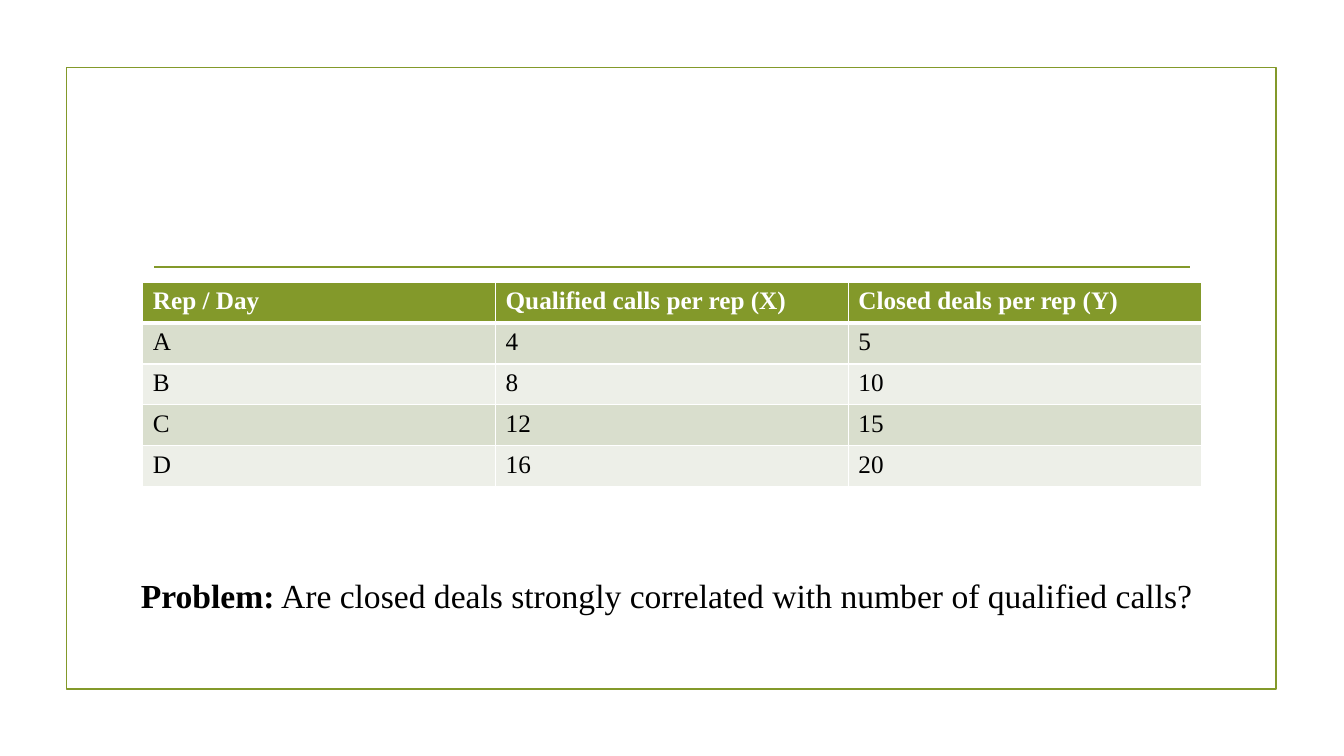
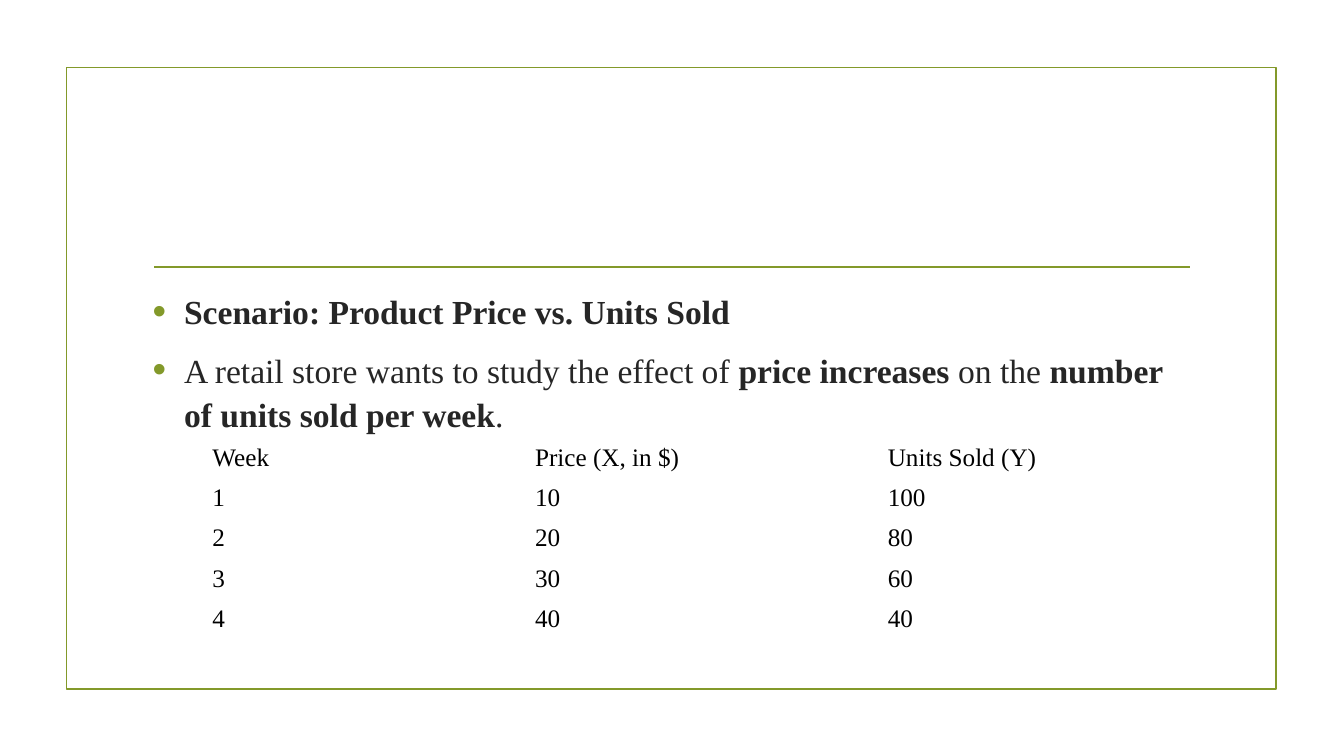
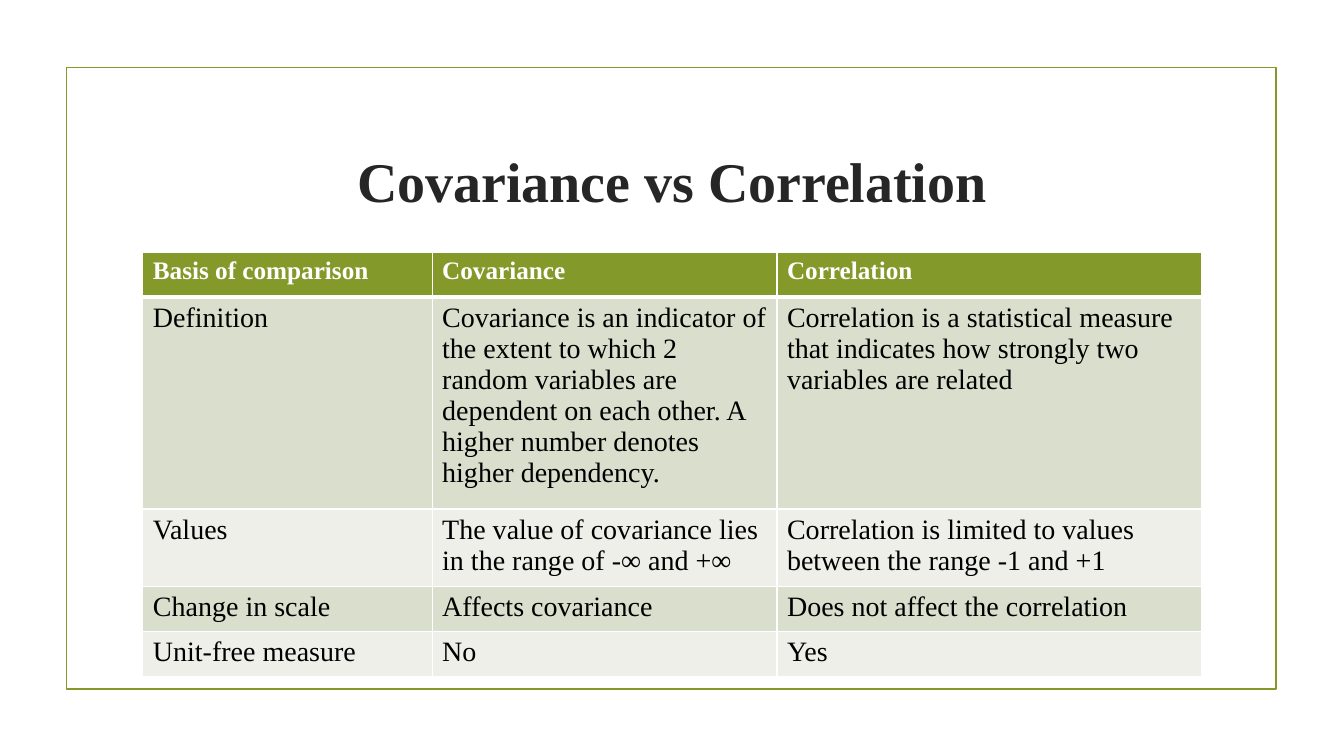
"""Build three slides on covariance and correlation."""
from lxml.etree import SubElement
from pptx import Presentation as Deck
from pptx.dml.color import RGBColor as Color
from pptx.enum.shapes import MSO_CONNECTOR as Link, MSO_SHAPE as Shape
from pptx.enum.text import MSO_ANCHOR as Anchor, PP_ALIGN as Align
from pptx.oxml import parse_xml as parse
from pptx.oxml.ns import nsdecls, qn
from pptx.util import Cm, Pt

HUES = {
    "green": "83992A",
    "dark": "262626",
    "black": "000000",
    "white": "FFFFFF",
    "sage": "D9DECD",
    "mist": "EDEFE8",
}
FONT = "Times New Roman"
LEFT, WIDE = 3.6, 26.67

CALLS = [
    ("Rep / Day", "Qualified calls per rep (X)", "Closed deals per rep (Y)"),
    ("A", "4", "5"),
    ("B", "8", "10"),
    ("C", "12", "15"),
    ("D", "16", "20"),
]
SALES = [
    ("Week", "Price (X, in $)", "Units Sold (Y)"),
    ("1", "10", "100"),
    ("2", "20", "80"),
    ("3", "30", "60"),
    ("4", "40", "40"),
]
TRAITS = [
    ("Basis of comparison", "Covariance", "Correlation"),
    ("Definition",
     "Covariance is an indicator of the extent to which 2 random variables "
     "are dependent on each other. A higher number denotes higher dependency.",
     "Correlation is a statistical measure that indicates how strongly two "
     "variables are related"),
    ("Values", "The value of covariance lies in the range of -∞ and +∞",
     "Correlation is limited to values between the range -1 and +1"),
    ("Change in scale", "Affects covariance", "Does not affect the correlation"),
    ("Unit-free measure", "No", "Yes"),
]


def hue(name):
    """Return the named colour."""
    return Color.from_string(HUES[name])


def bullet(para):
    """Give a paragraph a green hanging bullet."""
    props = para._p.get_or_add_pPr()
    props.set("marL", str(Cm(0.79)))
    props.set("indent", str(-Cm(0.79)))
    tint = SubElement(props, qn("a:buClr"))
    SubElement(tint, qn("a:srgbClr"), val=HUES["green"])
    SubElement(props, qn("a:buSzPct"), val="115000")
    SubElement(props, qn("a:buFont"), typeface="Arial")
    SubElement(props, qn("a:buChar"), char="•")


def write(frame, text, size=18, tone="black", bold=False, align=Align.LEFT,
          lead=None, dots=False):
    """Fill a frame with lines of text, where *stars* mark bold words."""
    for row, line in enumerate(text.split("\n")):
        para = frame.add_paragraph() if row else frame.paragraphs[0]
        para.alignment = align
        para.line_spacing = lead
        if dots:
            para.space_before = Pt(4 if row else 0)
            para.space_after = Pt(6)
            bullet(para)
        for turn, part in enumerate(line.split("*")):
            if part:
                run = para.add_run()
                run.text = part
                font = run.font
                font.name, font.size = FONT, Pt(size)
                font.bold = bold or turn % 2 == 1
                font.color.rgb = hue(tone)


def label(slide, text, left, top, width, height, mid=False, **form):
    """Add a text box."""
    box = slide.shapes.add_textbox(Cm(left), Cm(top), Cm(width), Cm(height))
    frame = box.text_frame
    frame.word_wrap = True
    frame.vertical_anchor = Anchor.MIDDLE if mid else Anchor.TOP
    write(frame, text, **form)


def edge(cell, base):
    """Draw white borders round a cell, with its own bottom width."""
    props = cell._tc.get_or_add_tcPr()
    for spot, (side, width) in enumerate(zip("LRTB", (1, 1, 1, base))):
        props.insert(spot, parse(
            f'<a:ln{side} {nsdecls("a")} w="{Pt(width)}"><a:solidFill>'
            f'<a:srgbClr val="{HUES["white"]}"/></a:solidFill></a:ln{side}>'))


def grid(slide, data, left, top, widths, heights, size=18, plain=False):
    """Add a table, either banded under a green head or plain."""
    table = slide.shapes.add_table(
        len(data), len(widths), Cm(left), Cm(top),
        Cm(sum(widths)), Cm(sum(heights))).table
    table.first_row = table.horz_banding = False
    for col, width in zip(table.columns, widths):
        col.width = Cm(width)
    for row, (cells, height) in enumerate(zip(data, heights)):
        table.rows[row].height = Cm(height)
        head = row == 0 and not plain
        for col, text in enumerate(cells):
            cell = table.cell(row, col)
            if plain:
                cell.fill.background()
                cell.vertical_anchor = Anchor.MIDDLE
            else:
                cell.fill.solid()
                band = "sage" if row % 2 else "mist"
                cell.fill.fore_color.rgb = hue("green" if head else band)
                edge(cell, 3 if head else 1)
            write(cell.text_frame, text, size=18 if head else size,
                  tone="white" if head else "black", bold=head)


def trim(line):
    """Set the shared green stroke."""
    line.color.rgb = hue("green")
    line.width = Pt(1.25)


def page(deck):
    """Add a slide with the green frame and rule."""
    slide = deck.slides.add_slide(deck.slide_layouts[6])
    frame = slide.shapes.add_shape(
        Shape.RECTANGLE, Cm(1.68), Cm(1.7), Cm(30.48), Cm(15.67))
    frame.shadow.inherit = False
    frame.fill.background()
    trim(frame.line)
    rule = slide.shapes.add_connector(
        Link.STRAIGHT, Cm(3.89), Cm(6.73), Cm(30), Cm(6.73))
    SubElement(rule._element.spPr, qn("a:effectLst"))
    trim(rule.line)
    return slide


def main():
    """Build and save the deck."""
    deck = Deck()
    deck.slide_width, deck.slide_height = Cm(33.87), Cm(19.05)

    slide = page(deck)
    grid(slide, CALLS, LEFT, 7.11, [WIDE / 3] * 3, [1.03] * 5)
    label(slide, "*Problem:* Are closed deals strongly correlated with "
          "number of qualified calls?", 3.3, 14.27, 27.26, 2.06,
          size=24, lead=1.1)

    slide = page(deck)
    label(slide, "*Scenario: Product Price vs. Units Sold*\n"
          "A retail store wants to study the effect of *price increases* "
          "on the *number of units sold per week*.",
          LEFT, 7.11, WIDE, 9.22, size=24, tone="dark", lead=1.1, dots=True)
    grid(slide, SALES, 5.1, 11.02, [8.13, 8.89, 8.89], [0.96] * 5, plain=True)

    slide = page(deck)
    label(slide, "Covariance vs Correlation", LEFT, 2.72, WIDE, 3.63,
          mid=True, size=40, tone="dark", bold=True, align=Align.CENTER)
    grid(slide, TRAITS, LEFT, 6.36, [7.29, 8.69, 10.69],
         [1.13, 4.92, 1.96, 1.13, 1.13], size=20)

    deck.save("out.pptx")


if __name__ == "__main__":
    main()
